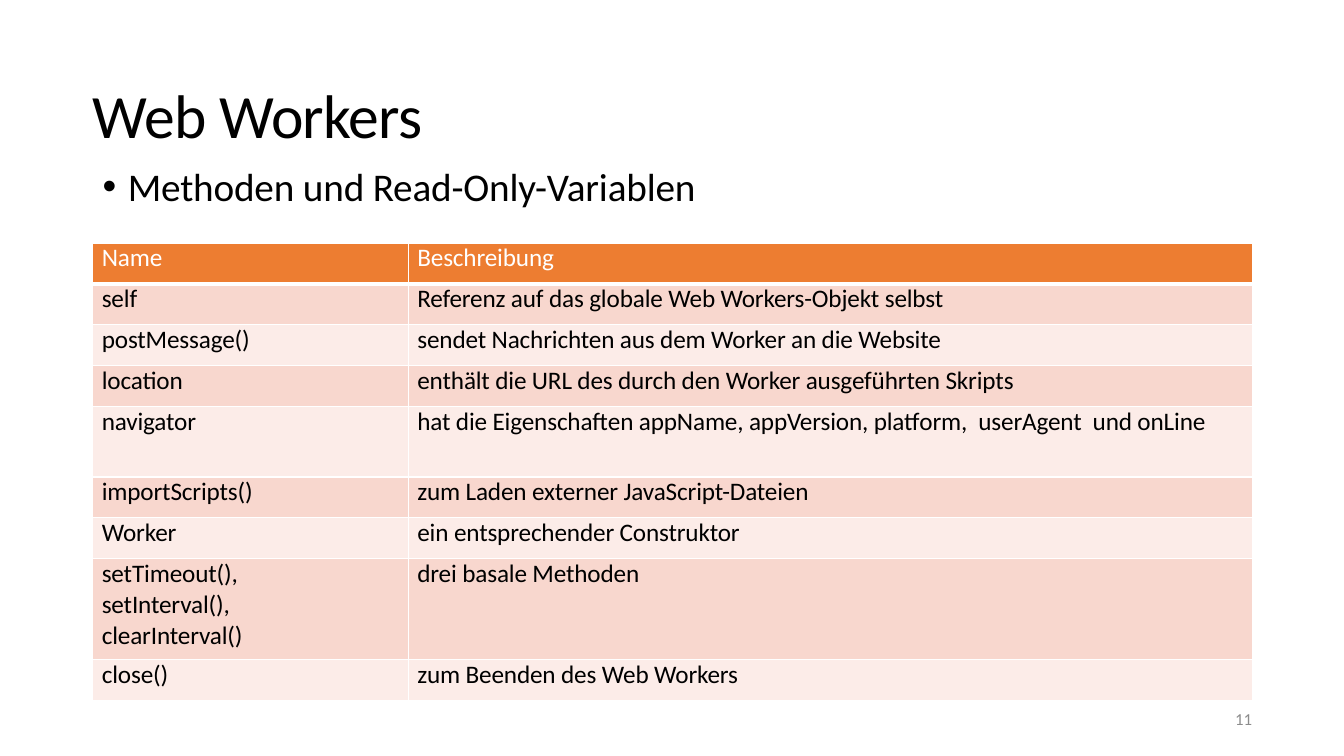
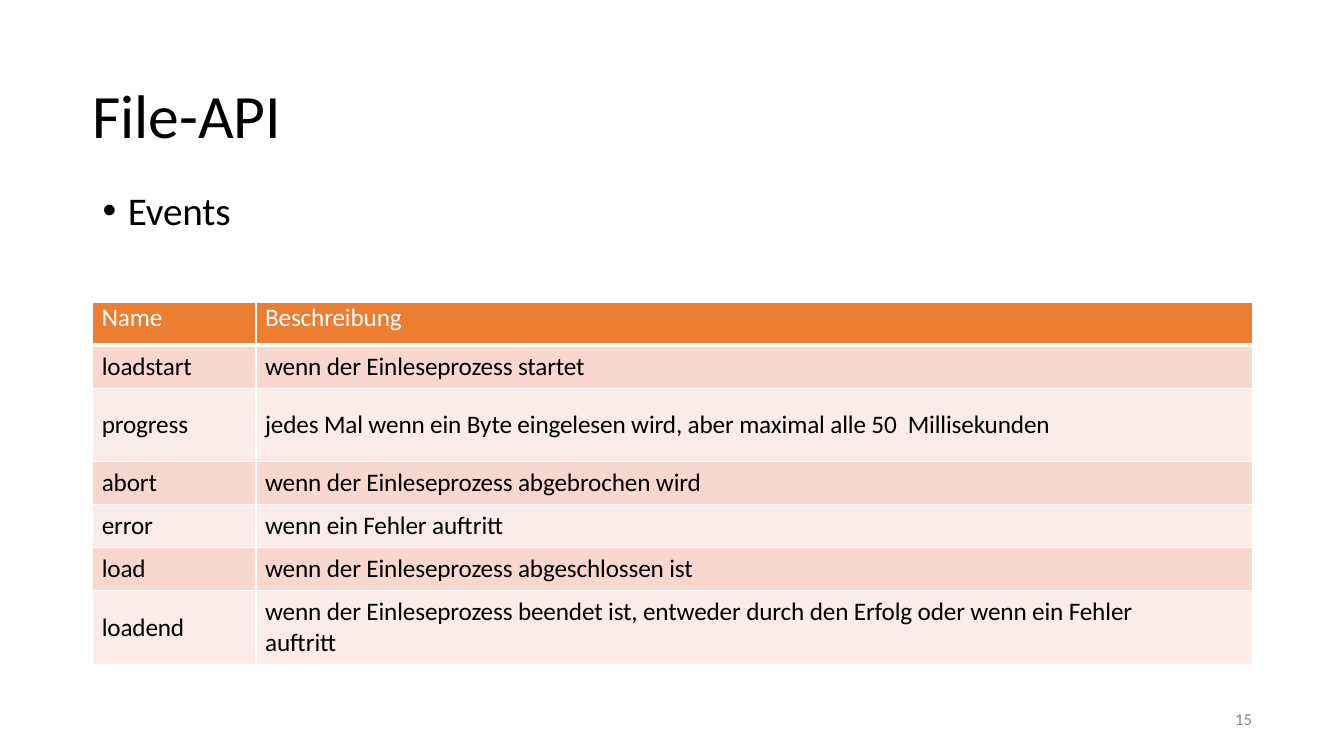
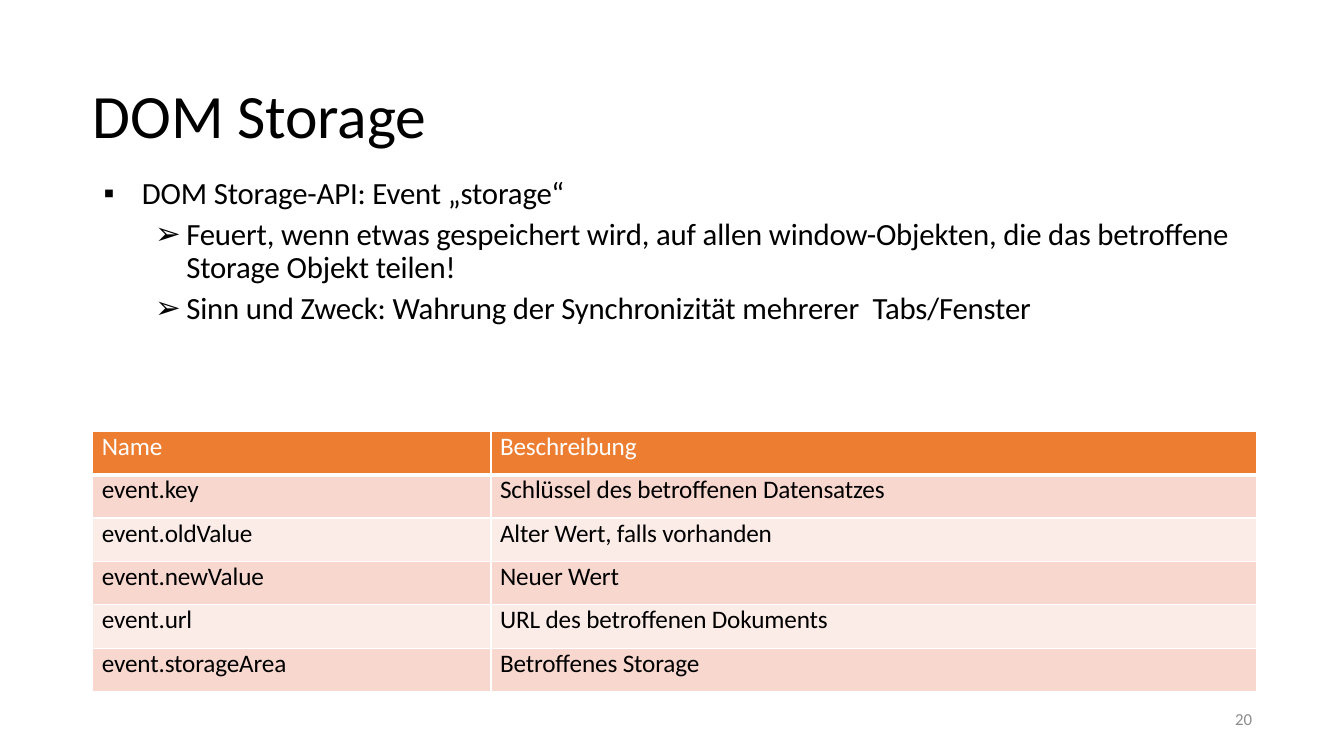
"""Builds three slides, each with a title, bullet points and a reference table."""
from dataclasses import dataclass, field

from lxml import etree
from pptx import Presentation
from pptx.dml.color import RGBColor
from pptx.enum.text import MSO_ANCHOR, PP_ALIGN
from pptx.oxml.ns import qn
from pptx.slide import Slide
from pptx.table import _Cell
from pptx.text.text import TextFrame, _Paragraph
from pptx.util import Inches, Pt

TOP, MIDDLE = MSO_ANCHOR.TOP, MSO_ANCHOR.MIDDLE
RIGHT = PP_ALIGN.RIGHT

BLACK = RGBColor(0x00, 0x00, 0x00)
WHITE = RGBColor(0xFF, 0xFF, 0xFF)
GRAY = RGBColor(0x8C, 0x8C, 0x8C)
ORANGE = RGBColor(0xED, 0x7D, 0x31)
BAND_DARK = RGBColor(0xF8, 0xD7, 0xCE)
BAND_LIGHT = RGBColor(0xFC, 0xEC, 0xE8)

FONT = "Calibri"
MARGIN = 0.92
CONTENT_WIDTH = 11.5
BODY_BOTTOM = 6.76
HEADER = ("Name", "Beschreibung")


@dataclass(frozen=True)
class Bullet:
    text: str
    size: float = 28
    symbol: str = "•"
    left: float = 0.25
    hanging: float = 0.25
    level: int = 0
    before: float = 0


@dataclass(frozen=True)
class Reference:
    top: float
    height: float
    columns: tuple[float, float]
    entries: tuple[tuple[str, str], ...]
    tall_rows: dict[int, float] = field(default_factory=dict)
    anchor: MSO_ANCHOR = TOP


@dataclass(frozen=True)
class Page:
    number: int
    title: str
    body_top: float
    bullets: tuple[Bullet, ...]
    reference: Reference
    title_spacing: float = -0.1


PAGES = (
    Page(
        11, "Web Workers", 1.61,
        (Bullet("Methoden und Read-Only-Variablen"),),
        Reference(2.41, 4.54, (3.13, 8.37), (
            ("self", "Referenz auf das globale Web Workers-Objekt selbst"),
            ("postMessage()", "sendet Nachrichten aus dem Worker an die Website"),
            ("location", "enthält die URL des durch den Worker ausgeführten Skripts"),
            ("navigator", "hat die Eigenschaften appName, appVersion, platform,  userAgent  und onLine"),
            ("importScripts()", "zum Laden externer JavaScript-Dateien"),
            ("Worker", "ein entsprechender Construktor"),
            ("setTimeout(),\vsetInterval(),\vclearInterval()", "drei basale Methoden"),
            ("close()", "zum Beenden des Web Workers"),
        ), {4: 0.7, 7: 1.0}),
        title_spacing=-0.5,
    ),
    Page(
        15, "File-API", 1.85,
        (Bullet("Events"),),
        Reference(3.0, 3.59, (1.62, 9.88), (
            ("loadstart", "wenn der Einleseprozess startet"),
            ("progress", "jedes Mal wenn ein Byte eingelesen wird, aber maximal alle 50  Millisekunden"),
            ("abort", "wenn der Einleseprozess abgebrochen wird"),
            ("error", "wenn ein Fehler auftritt"),
            ("load", "wenn der Einleseprozess abgeschlossen ist"),
            ("loadend", "wenn der Einleseprozess beendet ist, entweder durch den Erfolg "
                        "oder wenn ein Fehler\vauftritt"),
        ), {2: 0.73, 6: 0.73}, MIDDLE),
    ),
    Page(
        20, "DOM Storage", 1.72,
        (
            Bullet("DOM Storage-API: Event „storage“", 22, "▪", 0.39, 0.38),
            Bullet("Feuert, wenn etwas gespeichert wird, auf allen window-Objekten, "
                   "die das betroffene Storage Objekt teilen!", 22, "➢", 0.83, 0.31, 1, 5.2),
            Bullet("Sinn und Zweck: Wahrung der Synchronizität mehrerer  Tabs/Fenster",
                   22, "➢", 0.83, 0.31, 1, 5.2),
        ),
        Reference(4.28, 2.58, (3.95, 7.59), (
            ("event.key", "Schlüssel des betroffenen Datensatzes"),
            ("event.oldValue", "Alter Wert, falls vorhanden"),
            ("event.newValue", "Neuer Wert"),
            ("event.url", "URL des betroffenen Dokuments"),
            ("event.storageArea", "Betroffenes Storage"),
        )),
    ),
)


def put_text(paragraph: _Paragraph, text: str, *, size: float, color: RGBColor = BLACK,
             spacing: float = -0.1, align: PP_ALIGN | None = None,
             line: float | Pt | None = None, before: float = 0) -> None:
    paragraph.text = text
    paragraph.alignment = align
    paragraph.line_spacing = line
    paragraph.space_before = Pt(before)
    for run in paragraph.runs:
        run.font.name = FONT
        run.font.size = Pt(size)
        run.font.bold = False
        run.font.color.rgb = color
        run._r.get_or_add_rPr().set("spc", str(round(spacing * 100)))


def add_frame(slide: Slide, left: float, top: float, width: float, height: float,
              anchor: MSO_ANCHOR = MIDDLE, inset: tuple[float, float] = (0, 0)) -> TextFrame:
    frame = slide.shapes.add_textbox(
        Inches(left), Inches(top), Inches(width), Inches(height)).text_frame
    frame.word_wrap = True
    frame.vertical_anchor = anchor
    frame.margin_left = frame.margin_right = Inches(inset[0])
    frame.margin_top = frame.margin_bottom = Inches(inset[1])
    return frame


def add_bullets(slide: Slide, top: float, bullets: tuple[Bullet, ...]) -> None:
    frame = add_frame(slide, MARGIN, top, CONTENT_WIDTH, BODY_BOTTOM - top, TOP, (0.1, 0.05))
    for index, bullet in enumerate(bullets):
        paragraph = frame.add_paragraph() if index else frame.paragraphs[0]
        paragraph.level = bullet.level
        properties = paragraph._p.get_or_add_pPr()
        properties.set("marL", str(Inches(bullet.left)))
        properties.set("indent", str(-Inches(bullet.hanging)))
        etree.SubElement(properties, qn("a:buFont"), typeface="Arial")
        etree.SubElement(properties, qn("a:buChar"), char=bullet.symbol)
        put_text(paragraph, bullet.text, size=bullet.size, line=0.9, before=bullet.before)


def set_borders(cell: _Cell, bottom: float) -> None:
    properties = cell._tc.get_or_add_tcPr()
    for side, width in (("L", 1), ("R", 1), ("T", 1), ("B", bottom)):
        border = etree.SubElement(properties, qn(f"a:ln{side}"), w=str(Pt(width)))
        fill = etree.SubElement(border, qn("a:solidFill"))
        etree.SubElement(fill, qn("a:srgbClr"), val=str(WHITE))


def add_reference(slide: Slide, reference: Reference) -> None:
    rows = (HEADER, *reference.entries)
    tall = reference.tall_rows
    row_height = (reference.height - sum(tall.values())) / (len(rows) - len(tall))
    table = slide.shapes.add_table(
        len(rows), len(HEADER), Inches(MARGIN), Inches(reference.top),
        Inches(sum(reference.columns)), Inches(reference.height)).table
    table.horz_banding = False
    for column, width in zip(table.columns, reference.columns):
        column.width = Inches(width)
    for index, entry in enumerate(rows):
        is_header = index == 0
        band = BAND_DARK if index % 2 else BAND_LIGHT
        table.rows[index].height = Inches(tall.get(index, row_height))
        for cell, text in zip(table.rows[index].cells, entry):
            cell.margin_left = Inches(0.09)
            cell.margin_right = cell.margin_top = cell.margin_bottom = 0
            cell.vertical_anchor = TOP if is_header else reference.anchor
            set_borders(cell, bottom=3 if is_header else 1)
            cell.fill.solid()
            cell.fill.fore_color.rgb = ORANGE if is_header else band
            put_text(cell.text_frame.paragraphs[0], text, size=18,
                     color=WHITE if is_header else BLACK)


def add_page(slide: Slide, page: Page) -> None:
    title = add_frame(slide, MARGIN, 0.4, CONTENT_WIDTH, 1.45)
    put_text(title.paragraphs[0], page.title, size=44, spacing=page.title_spacing)
    add_bullets(slide, page.body_top, page.bullets)
    number = add_frame(slide, 9.42, 6.95, 3, 0.4)
    put_text(number.paragraphs[0], str(page.number), size=12, color=GRAY, spacing=0,
             align=RIGHT, line=Pt(12.4))
    add_reference(slide, page.reference)


def main() -> None:
    presentation = Presentation()
    presentation.slide_width = Inches(13.33)
    presentation.slide_height = Inches(7.5)
    blank = presentation.slide_layouts[6]
    for page in PAGES:
        add_page(presentation.slides.add_slide(blank), page)
    presentation.save("out.pptx")


if __name__ == "__main__":
    main()
